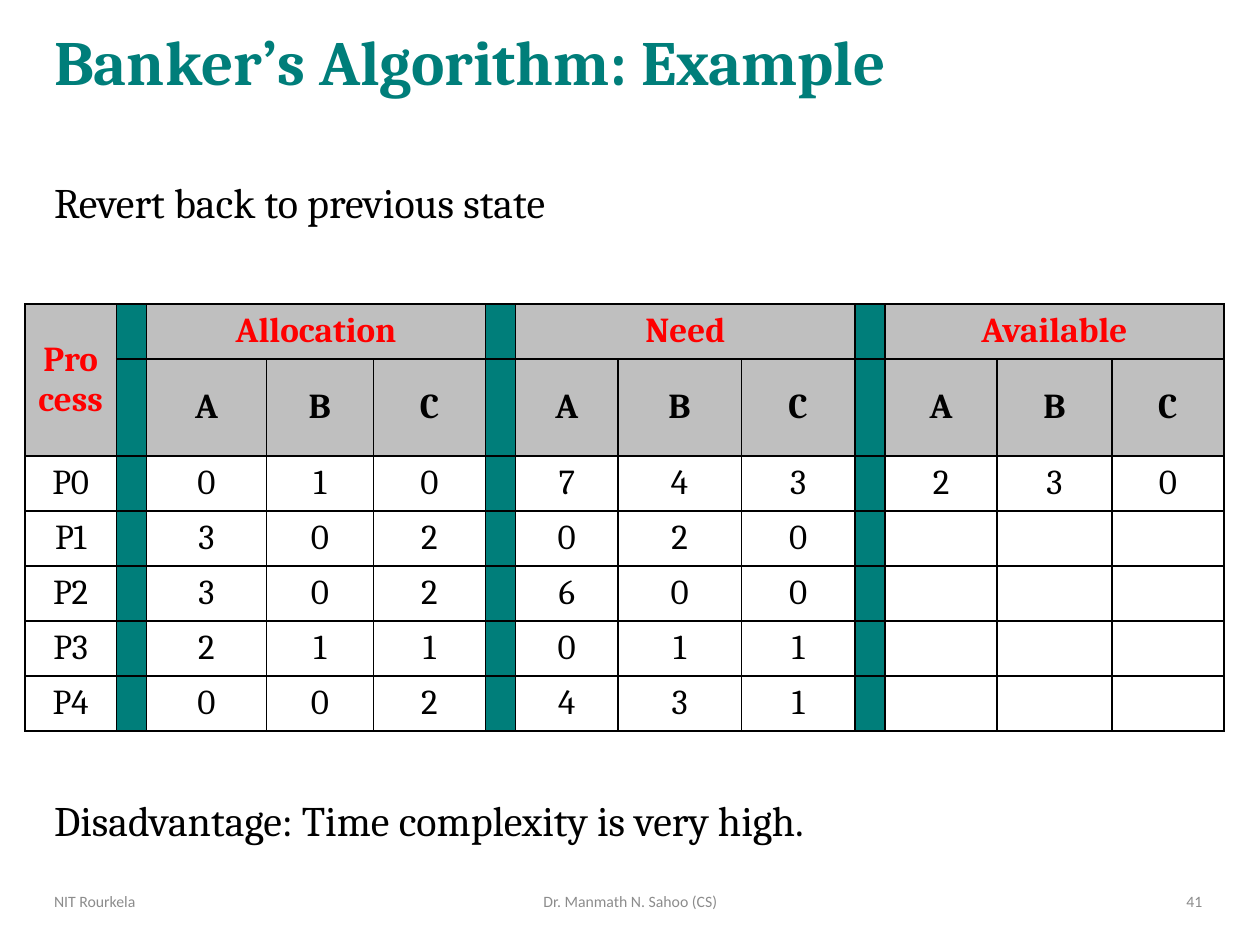
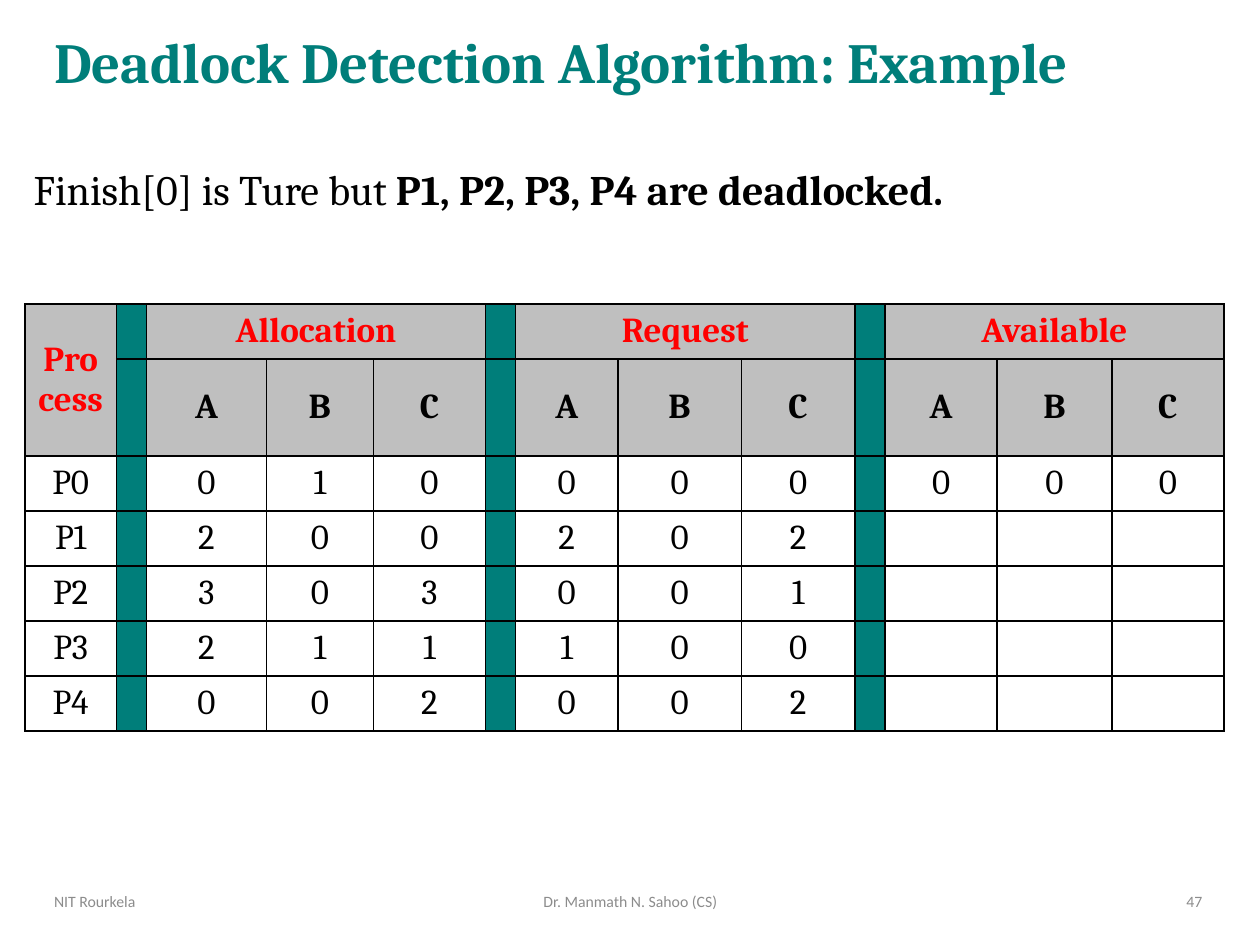
from pptx import Presentation
from pptx.dml.color import RGBColor
from pptx.enum.text import MSO_ANCHOR as Anchor, PP_ALIGN as Align
from pptx.oxml import parse_xml
from pptx.oxml.ns import nsdecls
from pptx.util import Cm, Pt

TEAL = RGBColor(0x00, 0x7E, 0x7A)
RED = RGBColor(0xFF, 0x00, 0x00)
BLACK = RGBColor(0x00, 0x00, 0x00)
SILVER = RGBColor(0xBF, 0xBF, 0xBF)
GREY = RGBColor(0x8C, 0x8C, 0x8C)

SERIF, SANS = "Cambria", "Calibri"

TITLE_BOX = (0.84, 0.1, 23.62, 2.44)
TABLE_BOX = (0.5, 6.13, 24.1, 8.4)
FOOTER_BOX = (0.84, 17.65, 23.65, 1.02)

COLUMN_WIDTHS = (1.85, 0.58, 2.41, 2.16, 2.26, 0.58, 2.06, 2.49, 2.29, 0.58, 2.26, 2.31, 2.26)
ROW_HEIGHTS = (1.11, 1.7) + (1.11,) * 5
RESOURCES = "ABC"
GROUP_STEP = len(RESOURCES) + 1

BANKER_STATE = (
    ("010", "743", "230"),
    ("302", "020", ""),
    ("302", "600", ""),
    ("211", "011", ""),
    ("002", "431", ""),
)
DETECTION_STATE = (
    ("010", "000", "000"),
    ("200", "202", ""),
    ("303", "001", ""),
    ("211", "100", ""),
    ("002", "002", ""),
)


def style_para(para, size, color, name=SERIF, bold=False, align=Align.LEFT):
    """Give a paragraph its font and alignment."""
    para.alignment = align
    font = para.font
    font.name, font.size, font.bold = name, Pt(size), bold
    font.color.rgb = color


def add_text(page, box, text, size, color, anchor=Anchor.TOP, **style):
    """Place one styled paragraph in a text box and return the paragraph."""
    frame = page.shapes.add_textbox(*map(Cm, box)).text_frame
    frame.word_wrap = True
    frame.vertical_anchor = anchor
    para = frame.paragraphs[0]
    para.add_run().text = text
    style_para(para, size, color, **style)
    return para


def add_title(page, text, size):
    """Add the teal slide title."""
    para = add_text(page, TITLE_BOX, text, size, TEAL, Anchor.MIDDLE, bold=True)
    para.line_spacing = 0.9


def add_footer(page, box, number):
    """Add institute, lecturer and page number along the footer box."""
    left, top, width, height = box
    parts = (
        (0, 6.6, "NIT Rourkela", Align.LEFT),
        (7.57, 8.59, "Dr. Manmath N. Sahoo (CS)", Align.CENTER),
        (width - 6.02, 6.02, str(number), Align.RIGHT),
    )
    for offset, part_width, text, align in parts:
        add_text(page, (left + offset, top, part_width, height), text, 9, GREY,
                 Anchor.MIDDLE, name=SANS, align=align)


def add_borders(cell):
    """Draw a thin black line on all four sides of a cell."""
    properties = cell._tc.get_or_add_tcPr()
    for index, side in enumerate(("lnL", "lnR", "lnT", "lnB")):
        properties.insert(index, parse_xml(
            f'<a:{side} {nsdecls("a")} w="{Pt(1)}"><a:solidFill>'
            f'<a:srgbClr val="{BLACK}"/></a:solidFill></a:{side}>'))


def format_cell(cell, fill):
    """Set the fill, borders and default lettering of a cell."""
    if fill is None:
        cell.fill.background()
    else:
        cell.fill.solid()
        cell.fill.fore_color.rgb = fill
    add_borders(cell)
    cell.vertical_anchor = Anchor.MIDDLE
    style_para(cell.text_frame.paragraphs[0], 20, BLACK, align=Align.CENTER)


def write_cell(cell, text, color=BLACK, bold=False):
    """Write centred text into a cell."""
    cell.text = text
    style_para(cell.text_frame.paragraphs[0], 20, color, bold=bold, align=Align.CENTER)


def add_state_table(page, box, groups, state):
    """Add the resource table with one group of columns per heading."""
    table = page.shapes.add_table(
        len(ROW_HEIGHTS), len(COLUMN_WIDTHS), *map(Cm, box)).table
    table.first_row = table.horz_banding = False
    for column, width in zip(table.columns, COLUMN_WIDTHS):
        column.width = Cm(width)
    for row, height in zip(table.rows, ROW_HEIGHTS):
        row.height = Cm(height)

    for row in range(len(ROW_HEIGHTS)):
        for column in range(len(COLUMN_WIDTHS)):
            is_divider = column % GROUP_STEP == 1
            fill = TEAL if is_divider else SILVER if row < 2 else None
            format_cell(table.cell(row, column), fill)

    table.cell(0, 0).merge(table.cell(1, 0))
    write_cell(table.cell(0, 0), "Process", RED, True)
    for group, heading in enumerate(groups):
        first = 2 + group * GROUP_STEP
        table.cell(0, first).merge(table.cell(0, first + len(RESOURCES) - 1))
        write_cell(table.cell(0, first), heading, RED, True)
        for offset, resource in enumerate(RESOURCES):
            write_cell(table.cell(1, first + offset), resource, bold=True)
        for process, values in enumerate(state):
            for offset, value in enumerate(values[group]):
                write_cell(table.cell(2 + process, first + offset), value)
    for process in range(len(state)):
        write_cell(table.cell(2 + process, 0), f"P{process}")


def add_example_page(deck, title, title_size, groups, state, number):
    """Add a slide with title, state table and footer."""
    page = deck.slides.add_slide(deck.slide_layouts[6])
    add_title(page, title, title_size)
    add_state_table(page, TABLE_BOX, groups, state)
    add_footer(page, FOOTER_BOX, number)
    return page


def main():
    """Build and save the deck."""
    deck = Presentation()
    deck.slide_width, deck.slide_height = Cm(25.4), Cm(19.05)

    banker = add_example_page(deck, "Banker’s Algorithm: Example", 36,
                              ("Allocation", "Need", "Available"), BANKER_STATE, 41)
    add_text(banker, (0.84, 3.43, 23.77, 1.27), "Revert back to previous state", 24, BLACK)
    add_text(banker, (0.84, 15.9, 16.48, 1.27),
             "Disadvantage: Time complexity is very high.", 24, BLACK)

    detection = add_example_page(deck, "Deadlock Detection Algorithm: Example", 32.4,
                                 ("Allocation", "Request", "Available"), DETECTION_STATE, 47)
    finding = add_text(detection, (0.43, 3.18, 24.56, 1.27),
                       "Finish[0] is Ture but ", 24, BLACK)
    span = finding.add_run()
    span.text = "P1, P2, P3, P4 are deadlocked."
    span.font.bold = True

    deck.save("out.pptx")


if __name__ == "__main__":
    main()
